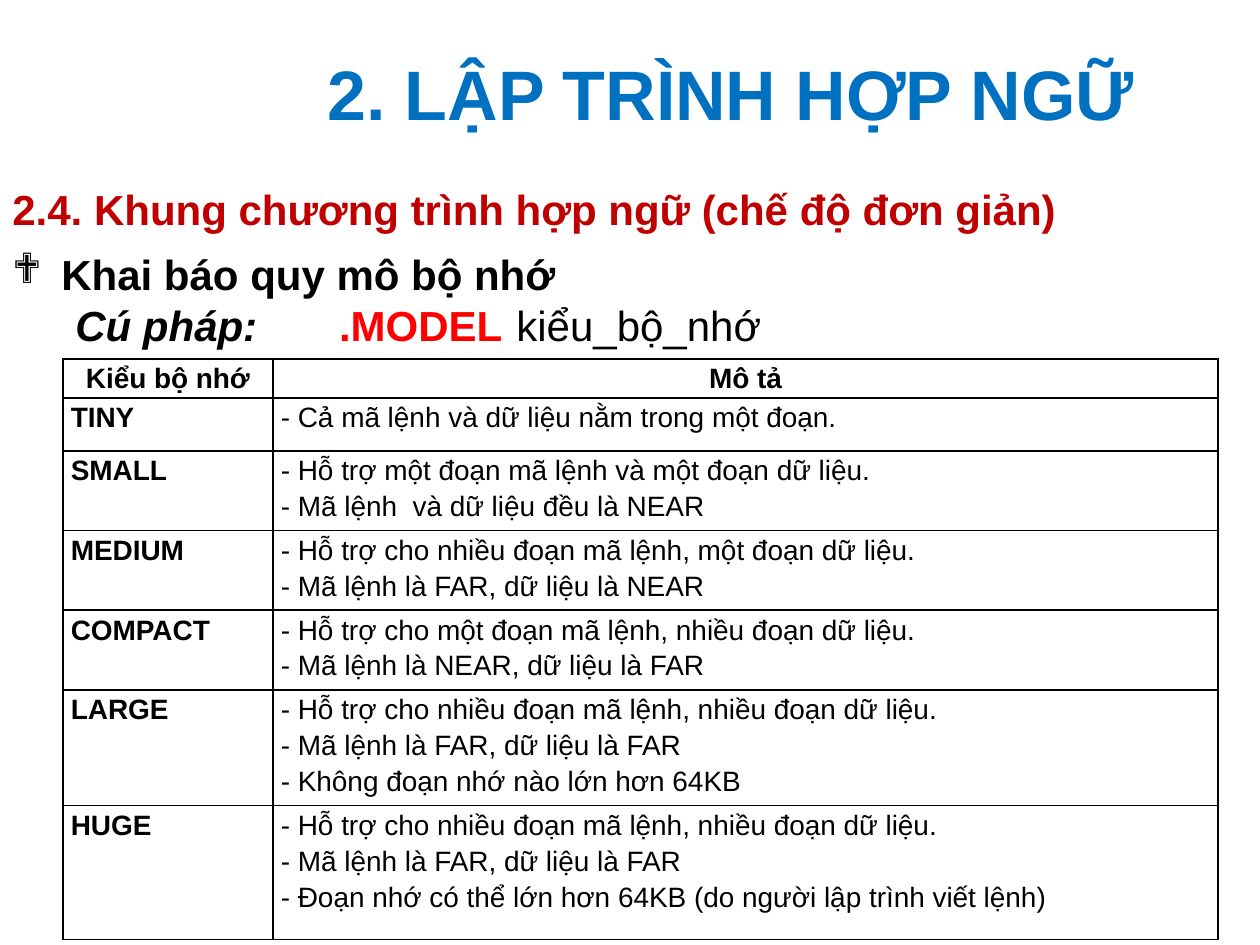
from lxml.etree import SubElement
from pptx import Presentation
from pptx.dml.color import RGBColor
from pptx.enum.text import MSO_ANCHOR, PP_ALIGN
from pptx.oxml.ns import qn
from pptx.util import Pt

COLORS = {"title": "0070C0", "head": "C00000", "text": "000000",
          "key": "FF0000", "line": "000000"}
FONT = "Arial"

MODELS = [
    ("Kiểu bộ nhớ", ["Mô tả"], 22.3),
    ("TINY", ["- Cả mã lệnh và dữ liệu nằm trong một đoạn."], 30.2),
    ("SMALL", ["- Hỗ trợ một đoạn mã lệnh và một đoạn dữ liệu.",
               "- Mã lệnh  và dữ liệu đều là NEAR"], 45.5),
    ("MEDIUM", ["- Hỗ trợ cho nhiều đoạn mã lệnh, một đoạn dữ liệu.",
                "- Mã lệnh là FAR, dữ liệu là NEAR"], 45.5),
    ("COMPACT", ["- Hỗ trợ cho một đoạn mã lệnh, nhiều đoạn dữ liệu.",
                 "- Mã lệnh là NEAR, dữ liệu là FAR"], 45.5),
    ("LARGE", ["- Hỗ trợ cho nhiều đoạn mã lệnh, nhiều đoạn dữ liệu.",
               "- Mã lệnh là FAR, dữ liệu là FAR",
               "- Không đoạn nhớ nào lớn hơn 64KB"], 66),
    ("HUGE", ["- Hỗ trợ cho nhiều đoạn mã lệnh, nhiều đoạn dữ liệu.",
              "- Mã lệnh là FAR, dữ liệu là FAR",
              "- Đoạn nhớ có thể lớn hơn 64KB (do người lập trình viết lệnh)"], 76.5),
]


def style(font, size, color, bold=True):
    font.name, font.size, font.bold = FONT, Pt(size), bold
    font.color.rgb = RGBColor.from_string(COLORS[color])


def add_frame(slide, box):
    frame = slide.shapes.add_textbox(*map(Pt, box)).text_frame
    frame.word_wrap = True
    frame.vertical_anchor = MSO_ANCHOR.MIDDLE
    return frame


def add_line(slide, box, text, size, color, align=PP_ALIGN.LEFT):
    para = add_frame(slide, box).paragraphs[0]
    para.text, para.alignment = text, align
    style(para.font, size, color)


def add_bullet(para, char, indent):
    props = para._p.get_or_add_pPr()
    props.set("marL", str(Pt(indent)))
    props.set("indent", str(-Pt(indent)))
    SubElement(props, qn("a:buFont"), typeface="Wingdings")
    SubElement(props, qn("a:buChar"), char=char)


def add_syntax(slide, box):
    frame = add_frame(slide, box)
    head = frame.paragraphs[0]
    head.text = "Khai báo quy mô bộ nhớ"
    style(head.font, 24, "text")
    add_bullet(head, "❖", 28)
    para = frame.add_paragraph()
    for text, color, bold, italic in [
            ("\tCú pháp: \t ", "text", True, True),
            (".MODEL", "key", True, False),
            ("\tkiểu_bộ_nhớ", "text", False, False)]:
        run = para.add_run()
        run.text = text
        style(run.font, 24, color, bold)
        run.font.italic = italic


def add_borders(cell):
    props = cell._tc.get_or_add_tcPr()
    for side in ("lnL", "lnR", "lnT", "lnB"):
        line = SubElement(props, qn(f"a:{side}"), w=str(Pt(1)))
        fill = SubElement(line, qn("a:solidFill"))
        SubElement(fill, qn("a:srgbClr"), val=COLORS["line"])


def fill_cell(cell, lines, bold, align):
    cell.margin_left = cell.margin_right = Pt(4.5)
    cell.margin_top = cell.margin_bottom = 0
    add_borders(cell)
    cell.fill.background()
    cell.text = "\n".join(lines)
    for para in cell.text_frame.paragraphs:
        para.alignment, para.line_spacing = align, 1.15
        style(para.font, 16, "text", bold)


def add_models(slide, box):
    table = slide.shapes.add_table(len(MODELS), 2, *map(Pt, box)).table
    table.horz_banding = False
    table.columns[0].width = Pt(120)
    table.columns[1].width = Pt(box[2] - 120)
    for i, (name, lines, height) in enumerate(MODELS):
        table.rows[i].height = Pt(height)
        align = PP_ALIGN.LEFT if i else PP_ALIGN.CENTER
        fill_cell(table.cell(i, 0), [name], True, align)
        fill_cell(table.cell(i, 1), lines, i == 0, align)


def main():
    deck = Presentation()
    deck.slide_width, deck.slide_height = Pt(720), Pt(540)
    slide = deck.slides.add_slide(deck.slide_layouts[6])
    add_line(slide, (0, 101.5, 708, 36),
             "2.4. Khung chương trình hợp ngữ (chế độ đơn giản)", 24, "head")
    add_models(slide, (36, 205.2, 660, 331.5))
    add_syntax(slide, (0, 138.2, 546, 65.5))
    add_line(slide, (132, 21.6, 571, 62.6), "2. LẬP TRÌNH HỢP NGỮ", 40,
             "title", PP_ALIGN.CENTER)
    deck.save("out.pptx")


if __name__ == "__main__":
    main()
